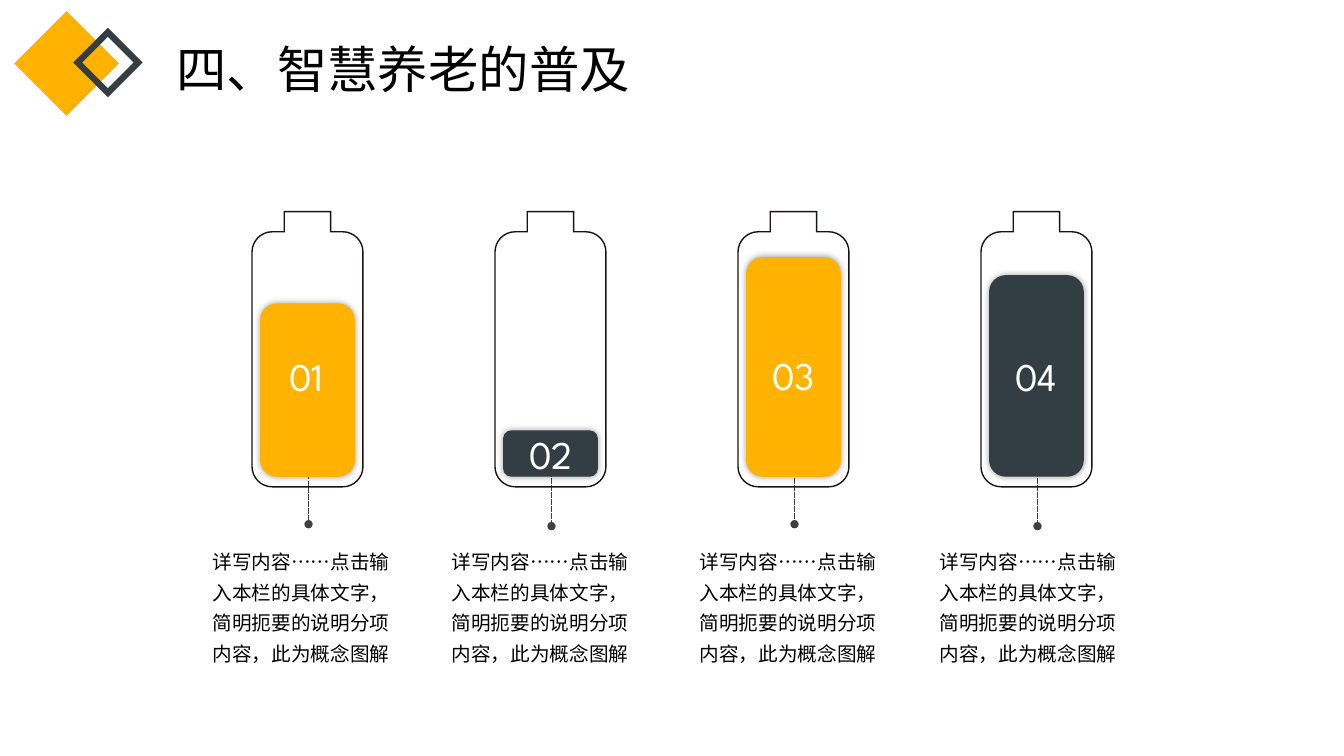
from lxml import etree
from pptx import Presentation
from pptx.dml.color import RGBColor
from pptx.enum.dml import MSO_LINE
from pptx.enum.shapes import MSO_CONNECTOR, MSO_SHAPE
from pptx.enum.text import MSO_AUTO_SIZE
from pptx.oxml import parse_xml
from pptx.oxml.ns import nsdecls, qn
from pptx.util import Inches, Pt

DIAMOND, ROUNDED = MSO_SHAPE.DIAMOND, MSO_SHAPE.ROUNDED_RECTANGLE
STRAIGHT = MSO_CONNECTOR.STRAIGHT
DASH = MSO_LINE.SQUARE_DOT
FIT_SHAPE = MSO_AUTO_SIZE.SHAPE_TO_FIT_TEXT

AMBER = RGBColor(0xFF, 0xB3, 0x00)
SLATE = RGBColor(0x33, 0x3E, 0x44)
GREY = RGBColor(0x40, 0x40, 0x40)
INK = RGBColor(0x19, 0x14, 0x11)
BLACK = RGBColor(0x00, 0x00, 0x00)
WHITE = RGBColor(0xFF, 0xFF, 0xFF)

TITLE_FONT = "Noto Sans CJK SC"
BODY_FONT = "League Spartan"

FIRST_LEFT, PITCH = 2.5, 2.41
BATTERY_TOP, BODY_TOP, BATTERY_BOTTOM = 2.1, 2.3, 4.83
BATTERY_WIDTH, CORNER = 1.1, 0.2
CURVE = 0.55
CHARGE_BOTTOM = 4.73
CAPTION = "详写内容……点击输入本栏的具体文字，简明扼要的说明分项内容，此为概念图解"

# number, charge height, colour, number left and top, lead start and end, caption left
BATTERIES = [
    ("01", 1.72, AMBER, 2.77, 3.45, 4.49, 5.2, 2.01),
    ("02", 0.46, SLATE, 5.15, 4.22, 4.47, 5.22, 4.38),
    ("03", 2.18, AMBER, 7.56, 3.44, 4.47, 5.2, 6.84),
    ("04", 2.0, SLATE, 9.97, 3.45, 4.47, 5.22, 9.22),
]


def add_text(shapes, text, left, top, width, height, size, font, color,
             spacing=None, wrap=True):
    box = shapes.add_textbox(Inches(left), Inches(top), Inches(width), Inches(height))
    frame = box.text_frame
    frame.word_wrap = wrap
    frame.auto_size = FIT_SHAPE
    para = frame.paragraphs[0]
    if spacing:
        para.line_spacing = spacing
    span = para.add_run()
    span.text = text
    span.font.size = Pt(size)
    span.font.name = font
    span.font.color.rgb = color
    if font == TITLE_FONT:
        latin = span.font._element.find(qn("a:latin"))
        latin.addnext(etree.Element(qn("a:ea"), typeface=font))


def set_outline(shape, color, width):
    """Give a shape a line with sharp corners and no fill."""
    shape.shadow.inherit = False
    shape.fill.background()
    shape.line.color.rgb = color
    shape.line.width = Pt(width)
    etree.SubElement(shape.line._get_or_add_ln(), qn("a:miter"), lim="800000")


def add_diamond(page, left, top, size):
    shape = page.shapes.add_shape(
        DIAMOND, Inches(left), Inches(top), Inches(size), Inches(size))
    shape.shadow.inherit = False
    return shape


def add_lead(shapes, x, top, bottom):
    """Draw the dashed line that ends in a dot above a caption."""
    lead = shapes.add_connector(STRAIGHT, Inches(x), Inches(top), Inches(x), Inches(bottom))
    lead.line.color.rgb = GREY
    lead.line.width = Pt(1.25)
    lead.line.dash_style = DASH
    properties = lead._element.spPr
    etree.SubElement(properties.find(qn("a:ln")), qn("a:tailEnd"), type="oval")
    etree.SubElement(properties, qn("a:effectLst"))


def round_corner(segment, corner):
    """Turn a straight segment into a curve that bends towards the corner."""
    end = segment[0]
    start = segment.getprevious()[-1]
    segment.tag = qn("a:cubicBezTo")
    for point in (start, end):
        control = etree.Element(qn("a:pt"))
        for axis, target in zip("xy", corner):
            value = int(point.get(axis))
            control.set(axis, str(round(value + CURVE * (target - value))))
        end.addprevious(control)


def add_case(shapes, left):
    right = left + BATTERY_WIDTH
    cap_left, cap_right = left + 0.32, left + 0.78
    inner_left, inner_right = left + CORNER, right - CORNER
    inner_top, inner_bottom = BODY_TOP + CORNER, BATTERY_BOTTOM - CORNER
    points = [
        (cap_right, BATTERY_TOP), (cap_right, BODY_TOP),
        (inner_right, BODY_TOP), (right, inner_top),
        (right, inner_bottom), (inner_right, BATTERY_BOTTOM),
        (inner_left, BATTERY_BOTTOM), (left, inner_bottom),
        (left, inner_top), (inner_left, BODY_TOP),
        (cap_left, BODY_TOP),
    ]
    builder = shapes.build_freeform(Inches(cap_left), Inches(BATTERY_TOP))
    builder.add_line_segments([(Inches(x), Inches(y)) for x, y in points], close=True)
    case = builder.convert_to_shape()
    set_outline(case, INK, 1)

    width, height = Inches(BATTERY_WIDTH), Inches(BATTERY_BOTTOM - BATTERY_TOP)
    shoulder = Inches(BODY_TOP - BATTERY_TOP)
    corners = [(width, shoulder), (width, height), (0, height), (0, shoulder)]
    segments = list(case._element.iter(qn("a:lnTo")))
    for segment, corner in zip(segments[3::2], corners):
        round_corner(segment, corner)


def add_charge(shapes, left, height, color):
    charge = shapes.add_shape(ROUNDED, Inches(left), Inches(CHARGE_BOTTOM - height),
                              Inches(0.94), Inches(height))
    charge.adjustments[0] = 0.177
    charge.fill.solid()
    charge.fill.fore_color.rgb = color
    charge.line.fill.background()
    charge._element.spPr.append(parse_xml(
        f'<a:effectLst {nsdecls("a")}><a:outerShdw blurRad="{Pt(5)}" dist="0" '
        'algn="ctr" rotWithShape="0"><a:srgbClr val="000000"><a:alpha val="40000"/>'
        '</a:srgbClr></a:outerShdw></a:effectLst>'))


def main():
    deck = Presentation()
    deck.slide_width, deck.slide_height = Inches(13.33), Inches(7.5)
    page = deck.slides.add_slide(deck.slide_layouts[6])

    large_diamond = add_diamond(page, 0.14, 0.11, 1.04)
    large_diamond.fill.solid()
    large_diamond.fill.fore_color.rgb = AMBER
    large_diamond.line.fill.background()
    set_outline(add_diamond(page, 0.77, 0.32, 0.6), SLATE, 4.5)
    add_text(page.shapes, "四、智慧养老的普及", 1.65, 0.25, 6.98, 0.76,
             36, TITLE_FONT, BLACK, spacing=1.14)

    for index, battery in enumerate(BATTERIES):
        (number, height, color, number_left, number_top,
         lead_top, lead_bottom, caption_left) = battery
        left = FIRST_LEFT + index * PITCH
        shapes = page.shapes.add_group_shape().shapes
        add_lead(shapes, left + 0.56, lead_top, lead_bottom)
        add_case(shapes, left)
        add_charge(shapes, left + 0.08, height, color)
        add_text(shapes, number, number_left, number_top, 0.64, 0.57,
                 28, BODY_FONT, WHITE, wrap=False)
        add_text(page.shapes, CAPTION, caption_left, 5.34, 2.08, 1.3,
                 14, BODY_FONT, BLACK, spacing=1.3)

    deck.save("out.pptx")


if __name__ == "__main__":
    main()
